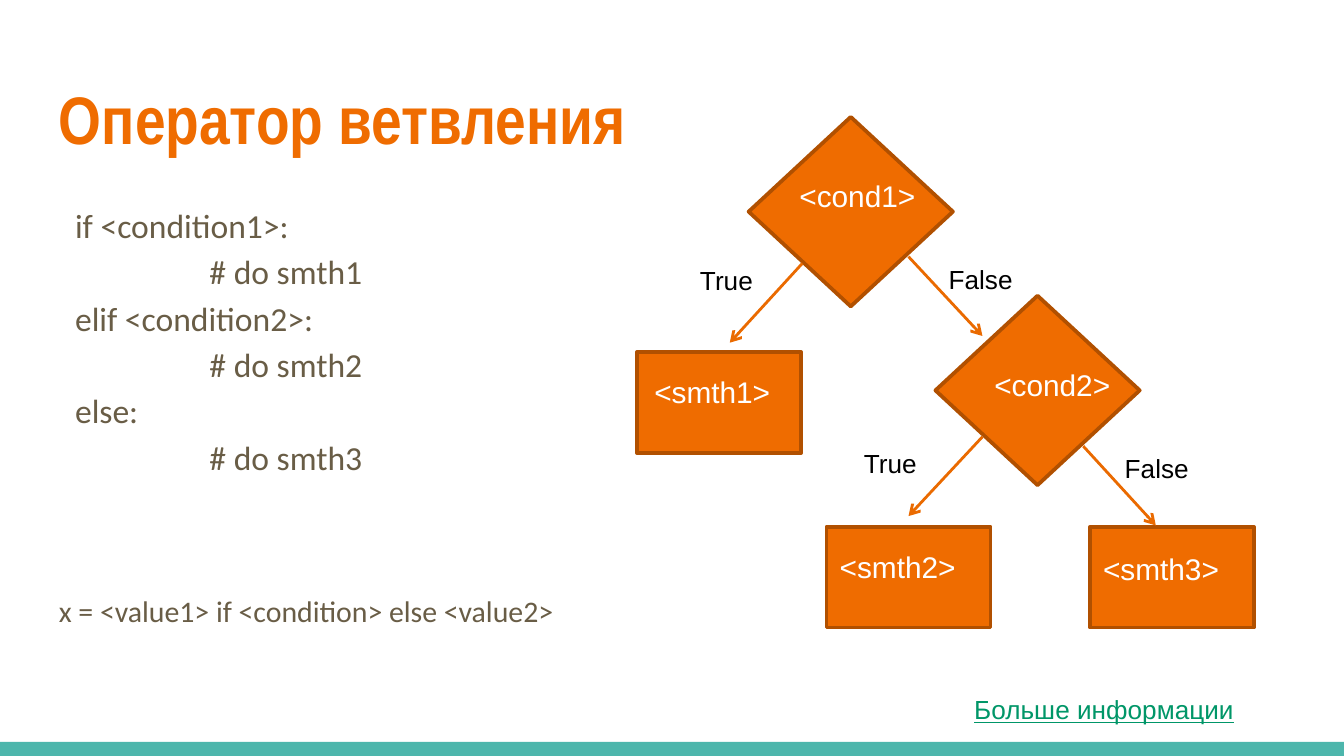
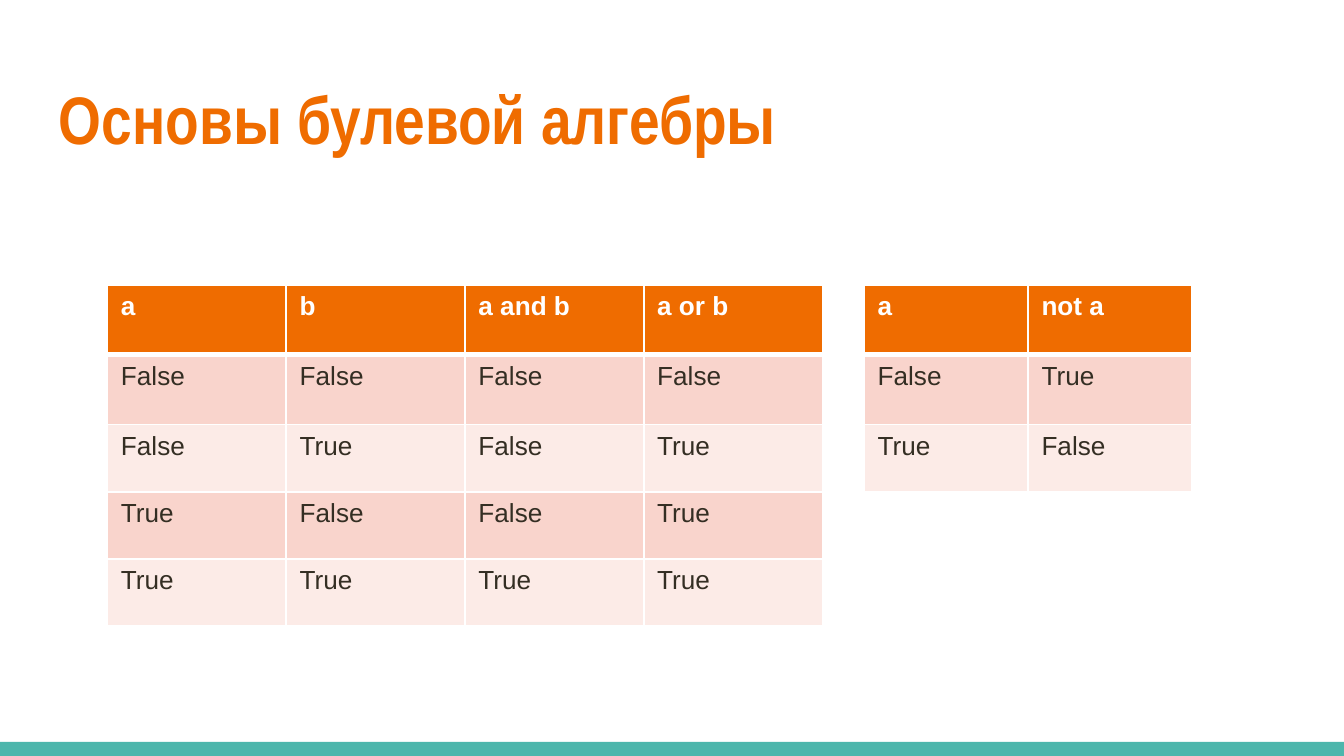
from dataclasses import dataclass

from lxml.etree import SubElement
from pptx import Presentation
from pptx.dml.color import RGBColor
from pptx.enum.shapes import MSO_CONNECTOR, MSO_SHAPE
from pptx.enum.text import MSO_ANCHOR
from pptx.oxml.ns import qn
from pptx.presentation import Presentation as Deck
from pptx.slide import Slide
from pptx.table import _Cell as Cell
from pptx.text.text import TextFrame
from pptx.util import Inches, Pt

ORANGE = RGBColor(0xEF, 0x6C, 0x00)
ARROW_ORANGE = RGBColor(0xEA, 0x6A, 0x00)
DARK_ORANGE = RGBColor(0xB1, 0x50, 0x00)
TEAL = RGBColor(0x4D, 0xB6, 0xAC)
BROWN = RGBColor(0x69, 0x5D, 0x46)
CELL_TEXT = RGBColor(0x34, 0x2E, 0x23)
LINK_GREEN = RGBColor(0x00, 0x96, 0x68)
PINK = RGBColor(0xF9, 0xD4, 0xCC)
PALE_PINK = RGBColor(0xFC, 0xEB, 0xE7)
WHITE = RGBColor(0xFF, 0xFF, 0xFF)
BLACK = RGBColor(0x00, 0x00, 0x00)

DIAMOND, RECTANGLE = MSO_SHAPE.DIAMOND, MSO_SHAPE.RECTANGLE
NODE_SIZES = {DIAMOND: (1.52, 1.41), RECTANGLE: (1.22, 0.75)}


@dataclass(frozen=True)
class TextStyle:
    size: float
    color: RGBColor
    font: str = "Arial"
    bold: bool = False
    underline: bool = False


@dataclass(frozen=True)
class Node:
    kind: MSO_SHAPE
    left: float
    top: float
    label: str
    label_left: float
    label_top: float


@dataclass(frozen=True)
class Branch:
    start: tuple[float, float]
    end: tuple[float, float]
    label: str
    label_left: float
    label_top: float


@dataclass(frozen=True)
class TruthTable:
    left: float
    column_width: float
    rows: list[list[str]]


TITLE = TextStyle(36, ORANGE, "Arial Narrow", bold=True)
CODE = TextStyle(18, BROWN, "Calibri")
ONE_LINER = TextStyle(16, BROWN, "Calibri")
NODE_LABEL = TextStyle(16, WHITE)
BRANCH_LABEL = TextStyle(14, BLACK)
LINK = TextStyle(14, LINK_GREEN, underline=True)
TABLE_HEADER = TextStyle(14, WHITE, bold=True)
TABLE_BODY = TextStyle(14, CELL_TEXT)

CODE_LINES = [
    "if <condition1>:",
    "\t# do smth1",
    "elif <condition2>:",
    "\t# do smth2",
    "else:",
    "\t# do smth3",
]
NODES = [
    Node(DIAMOND, 5.57, 0.87, "<cond1>", 5.85, 1.27),
    Node(DIAMOND, 6.96, 2.2, "<cond2>", 7.3, 2.68),
    Node(RECTANGLE, 4.74, 2.62, "<smth1>", 4.77, 2.73),
    Node(RECTANGLE, 6.15, 3.92, "<smth2>", 6.15, 4.03),
    Node(RECTANGLE, 8.11, 3.92, "<smth3>", 8.11, 4.05),
]
BRANCHES = [
    Branch((5.97, 1.96), (5.43, 2.55), "True", 5.11, 1.92),
    Branch((7.31, 3.25), (6.76, 3.84), "True", 6.33, 3.28),
    Branch((6.76, 1.91), (7.31, 2.5), "False", 6.96, 1.91),
    Branch((8.06, 3.32), (8.6, 3.91), "False", 8.27, 3.32),
]

PAIRS = [(a, b) for a in (False, True) for b in (False, True)]
TRUTH_TABLES = [
    TruthTable(0.8, 1.33, [["a", "b", "a and b", "a or b"]]
               + [[str(value) for value in (a, b, a and b, a or b)] for a, b in PAIRS]),
    TruthTable(6.43, 1.22, [["a", "not a"]]
               + [[str(a), str(not a)] for a in (False, True)]),
]


def write_lines(frame: TextFrame, lines: list[str], style: TextStyle,
                indent: float = 0, line_spacing: float | None = None) -> None:
    """Fill the frame, one paragraph a line; indented text has one-inch tabs."""
    font_values = {"name": style.font, "size": Pt(style.size),
                   "bold": style.bold, "underline": style.underline}
    for index, line in enumerate(lines):
        paragraph = frame.add_paragraph() if index else frame.paragraphs[0]
        paragraph.line_spacing = line_spacing
        if indent:
            properties = paragraph._p.get_or_add_pPr()
            for name, length in {"marL": indent, "indent": 0, "defTabSz": 1}.items():
                properties.set(name, str(Inches(length)))
        run = paragraph.add_run()
        run.text = line
        for name, value in font_values.items():
            setattr(run.font, name, value)
        run.font.color.rgb = style.color


def add_text(slide: Slide, left: float, top: float, width: float, height: float,
             lines: list[str], style: TextStyle, inset: float = 0.05,
             indent: float = 0, line_spacing: float | None = None,
             anchor: MSO_ANCHOR = MSO_ANCHOR.TOP) -> None:
    """Add a text box; inset is the space above and below the text."""
    box = slide.shapes.add_textbox(Inches(left), Inches(top), Inches(width), Inches(height))
    frame_values = {"word_wrap": True, "vertical_anchor": anchor,
                    "margin_top": Inches(inset), "margin_bottom": Inches(inset)}
    for name, value in frame_values.items():
        setattr(box.text_frame, name, value)
    write_lines(box.text_frame, lines, style, indent, line_spacing)


def add_filled_shape(slide: Slide, kind: MSO_SHAPE, left: float, top: float,
                     width: float, height: float, fill: RGBColor,
                     outline: RGBColor | None = None) -> None:
    shape = slide.shapes.add_shape(
        kind, Inches(left), Inches(top), Inches(width), Inches(height))
    shape.shadow.inherit = False
    shape.fill.solid()
    shape.fill.fore_color.rgb = fill
    if outline is None:
        shape.line.fill.background()
    else:
        shape.line.color.rgb = outline
        shape.line.width = Pt(2)


def add_arrow(slide: Slide, branch: Branch) -> None:
    ends = [Inches(value) for value in (*branch.start, *branch.end)]
    connector = slide.shapes.add_connector(MSO_CONNECTOR.STRAIGHT, *ends)
    connector.line.color.rgb = ARROW_ORANGE
    connector.line.width = Pt(1.5)
    SubElement(connector.line._get_or_add_ln(), qn("a:tailEnd"), type="arrow")
    SubElement(connector._element.spPr, qn("a:effectLst"))


def set_borders(cell: Cell, is_header: bool, below_header: bool) -> None:
    """Draw white cell borders, with a thick line under the header."""
    widths = {"L": 1, "R": 1, "T": 3 if below_header else 1, "B": 3 if is_header else 1}
    properties = cell._tc.get_or_add_tcPr()
    for side, width in widths.items():
        line = SubElement(properties, qn(f"a:ln{side}"), w=str(Pt(width)))
        fill = SubElement(line, qn("a:solidFill"))
        SubElement(fill, qn("a:srgbClr"), val=str(WHITE))


def add_truth_table(slide: Slide, truth: TruthTable) -> None:
    row_count, column_count = len(truth.rows), len(truth.rows[0])
    heights = [0.52 if index < 2 else 0.5 for index in range(row_count)]
    table = slide.shapes.add_table(
        row_count, column_count, Inches(truth.left), Inches(2.12),
        Inches(truth.column_width * column_count), Inches(sum(heights))).table
    for column in table.columns:
        column.width = Inches(truth.column_width)
    for row_index, texts in enumerate(truth.rows):
        table.rows[row_index].height = Inches(heights[row_index])
        is_header = row_index == 0
        band = PINK if row_index % 2 else PALE_PINK
        for column_index, text in enumerate(texts):
            cell = table.cell(row_index, column_index)
            set_borders(cell, is_header, row_index == 1)
            cell.fill.solid()
            cell.fill.fore_color.rgb = ORANGE if is_header else band
            write_lines(cell.text_frame, [text], TABLE_HEADER if is_header else TABLE_BODY)


def add_titled_slide(presentation: Deck, title: str) -> Slide:
    slide = presentation.slides.add_slide(presentation.slide_layouts[6])
    add_filled_shape(slide, RECTANGLE, 0, 5.52, 10, 0.11, TEAL)
    add_text(slide, 0.34, 0.49, 9.32, 0.77, [title], TITLE,
             inset=0.1, anchor=MSO_ANCHOR.MIDDLE)
    return slide


def build_branching_slide(presentation: Deck) -> None:
    slide = add_titled_slide(presentation, "Оператор ветвления")
    add_text(slide, 0.34, 1.38, 4.65, 3.61, CODE_LINES, CODE,
             inset=0.1, indent=0.12, line_spacing=1.15)
    add_text(slide, 0.34, 4.36, 6.27, 0.63,
             ["x = <value1> if <condition> else <value2>"], ONE_LINER)
    for node in NODES:
        add_filled_shape(slide, node.kind, node.left, node.top,
                         *NODE_SIZES[node.kind], ORANGE, DARK_ORANGE)
    for branch in BRANCHES:
        add_arrow(slide, branch)
    for node in NODES:
        add_text(slide, node.label_left, node.label_top, 1.3, 0.63, [node.label], NODE_LABEL)
    for branch in BRANCHES:
        add_text(slide, branch.label_left, branch.label_top, 1.49, 0.33,
                 [branch.label], BRANCH_LABEL)
    add_text(slide, 7.15, 5.11, 2.72, 0.33, ["Больше информации"], LINK)


def build_boolean_slide(presentation: Deck) -> None:
    slide = add_titled_slide(presentation, "Основы булевой алгебры")
    for truth in TRUTH_TABLES:
        add_truth_table(slide, truth)


def main() -> None:
    presentation = Presentation()
    presentation.slide_width = Inches(10)
    presentation.slide_height = Inches(10 * 9 / 16)
    build_branching_slide(presentation)
    build_boolean_slide(presentation)
    presentation.save("out.pptx")


if __name__ == "__main__":
    main()
